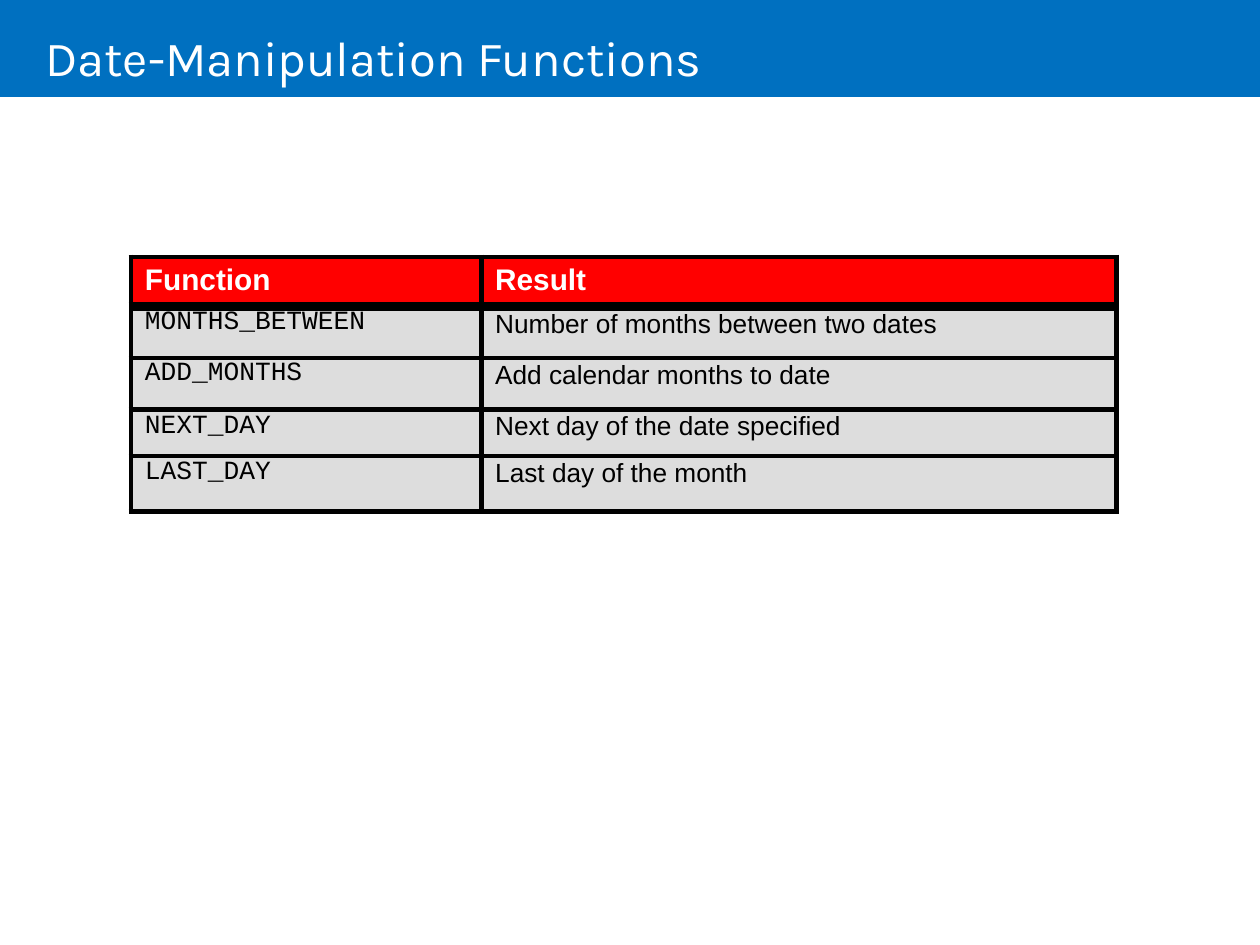
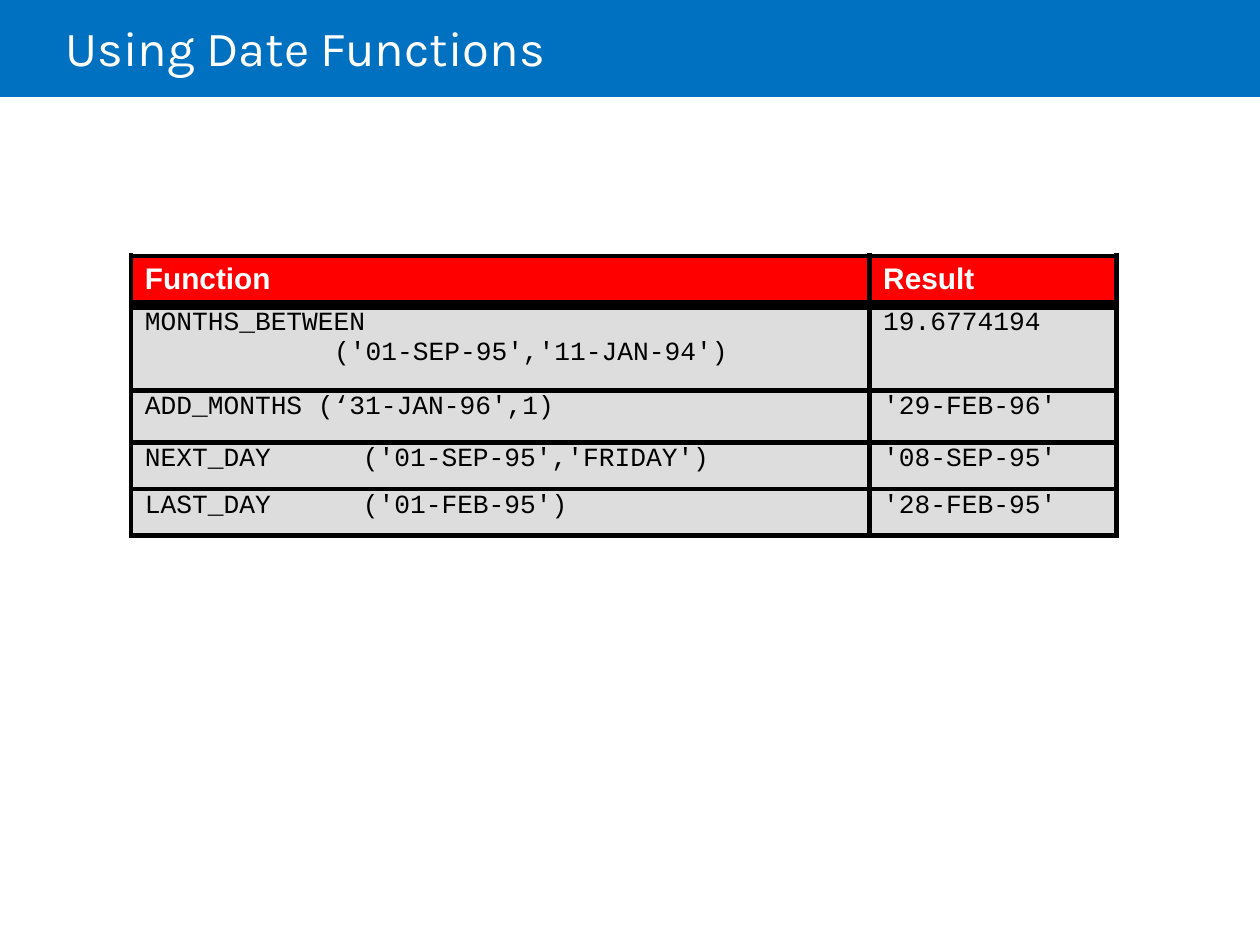
from dataclasses import dataclass

from lxml import etree
from pptx import Presentation
from pptx import util as u
from pptx.dml.color import RGBColor
from pptx.enum import shapes, text
from pptx.oxml import ns

COLORS = {
    "band": "0070C0",
    "title": "FFFFFF",
    "header": "FF0000",
    "header_text": "FFFFFF",
    "row": "DDDDDD",
    "row_text": "000000",
    "border": "000000",
}
TITLE_FONT, PROSE, CODE = "Karla", "Arial", "Courier New"
WIDTH, HEIGHT = u.Inches(10), u.Inches(7.5)
TABLE_LEFT = 10.4
CELL_INDENT = u.Inches(0.11)
CALL_INDENT = u.Inches(0.49)  # second line of a wrapped call
CALL_TAB = u.Inches(1.73)
THIN, THICK = u.Pt(3), u.Pt(6)


@dataclass
class Row:
    height: float  # percent of the slide height
    function: str
    result: str
    function_inset: float = 0.02
    result_inset: float = 0.02


@dataclass
class FunctionSlide:
    title: str
    title_box: tuple[float, float, float]  # left, top, width in percent
    table_top: float
    columns: tuple[float, float]
    result_font: str
    rows: list[Row]


HEADER = Row(5.2, "Function", "Result", 0.05, 0.05)

SLIDES = [
    FunctionSlide(
        "Date-Manipulation Functions", (3.5, 2.8, 92.9), 27.2, (27.8, 50.4), PROSE,
        [
            Row(5.47, "MONTHS_BETWEEN", "Number of months between two dates", 0.01, 0.03),
            Row(5.47, "ADD_MONTHS", "Add calendar months to date", 0.01),
            Row(4.93, "NEXT_DAY", "Next day of the date specified"),
            Row(5.87, "LAST_DAY", "Last day of the month", 0.01),
        ],
    ),
    FunctionSlide(
        "Using Date Functions", (5.1, 1.73, 92.1), 27.07, (58.6, 19.6), CODE,
        [
            Row(9.07, "MONTHS_BETWEEN\n('01-SEP-95','11-JAN-94')", "19.6774194", 0.03, 0.03),
            Row(5.47, "ADD_MONTHS (‘31-JAN-96',1)", "'29-FEB-96'"),
            Row(4.93, "NEXT_DAY\t('01-SEP-95','FRIDAY')", "'08-SEP-95'"),
            Row(4.93, "LAST_DAY\t('01-FEB-95')", "'28-FEB-95'"),
        ],
    ),
]


def across(percent: float) -> int:
    return round(WIDTH * percent / 100)


def down(percent: float) -> int:
    return round(HEIGHT * percent / 100)


def color(name: str) -> RGBColor:
    return RGBColor.from_string(COLORS[name])


def style(paragraph, font: str, size: float, ink: str, bold: bool = False) -> None:
    paragraph.font.name = font
    paragraph.font.size = u.Pt(size)
    paragraph.font.bold = bold
    paragraph.font.color.rgb = color(ink)


def add_band(slide, layout) -> None:
    """Draw the title band and move it behind everything on the layout."""
    band = slide.shapes.add_shape(shapes.MSO_SHAPE.RECTANGLE, 0, 0, WIDTH, down(10.27))
    band.shadow.inherit = False
    band.fill.solid()
    band.fill.fore_color.rgb = color("band")
    band.line.fill.background()
    band.element.nvSpPr.cNvPr.set("id", "20")
    layout.shapes.element.insert(2, band.element)


def set_title(slide, content: FunctionSlide) -> None:
    title = slide.shapes.title
    left, top, width = content.title_box
    title.left, title.top = across(left), down(top)
    title.width, title.height = across(width), down(6.4)
    frame = title.text_frame
    frame.text = content.title
    frame.margin_left = frame.margin_right = frame.margin_bottom = 0
    frame.margin_top = u.Inches(0.01)
    frame.vertical_anchor = text.MSO_ANCHOR.MIDDLE
    frame.auto_size = text.MSO_AUTO_SIZE.SHAPE_TO_FIT_TEXT
    heading = frame.paragraphs[0]
    heading.alignment = text.PP_ALIGN.LEFT
    heading._p.get_or_add_pPr().set("marL", str(u.Inches(0.01)))
    style(heading, TITLE_FONT, 28, "title")


def set_borders(cell, top: int, bottom: int) -> None:
    properties = cell._tc.get_or_add_tcPr()
    sides = {"lnL": THIN, "lnR": THIN, "lnT": top, "lnB": bottom}
    for index, (side, width) in enumerate(sides.items()):
        line = etree.Element(ns.qn(f"a:{side}"), w=str(width))
        fill = etree.SubElement(line, ns.qn("a:solidFill"))
        etree.SubElement(fill, ns.qn("a:srgbClr"), val=COLORS["border"])
        properties.insert(index, line)


def fill_cell(cell, wording: str, inset: float, font: str, row_index: int) -> None:
    is_header = row_index == 0
    cell.text = wording
    cell.margin_left = cell.margin_right = cell.margin_bottom = 0
    cell.margin_top = u.Inches(inset)
    cell.fill.solid()
    cell.fill.fore_color.rgb = color("header" if is_header else "row")
    set_borders(cell, THICK if row_index == 1 else THIN, THICK if is_header else THIN)
    for line_index, line in enumerate(cell.text_frame.paragraphs):
        properties = line._p.get_or_add_pPr()
        properties.set("marL", str(CALL_INDENT if line_index else CELL_INDENT))
        if line_index:
            line.alignment = text.PP_ALIGN.CENTER
            line.space_before = u.Pt(0.2)
        if "\t" in wording:
            tabs = etree.SubElement(properties, ns.qn("a:tabLst"))
            etree.SubElement(tabs, ns.qn("a:tab"), pos=str(CALL_TAB), algn="l")
        if is_header:
            style(line, PROSE, 17, "header_text", bold=True)
        else:
            style(line, font, 15, "row_text")


def add_function_table(slide, content: FunctionSlide) -> None:
    rows = [HEADER, *content.rows]
    table = slide.shapes.add_table(
        len(rows), len(content.columns),
        across(TABLE_LEFT), down(content.table_top),
        across(sum(content.columns)), down(sum(row.height for row in rows)),
    ).table
    table.horz_banding = False
    for column, width in zip(table.columns, content.columns):
        column.width = across(width)
    for index, row in enumerate(rows):
        table.rows[index].height = down(row.height)
        fill_cell(table.cell(index, 0), row.function, row.function_inset, CODE, index)
        fill_cell(table.cell(index, 1), row.result, row.result_inset,
                  content.result_font, index)


def main() -> None:
    deck = Presentation()
    deck.slide_width, deck.slide_height = WIDTH, HEIGHT
    title_only = deck.slide_layouts[5]
    for index, content in enumerate(SLIDES):
        slide = deck.slides.add_slide(title_only)
        if index == 0:
            add_band(slide, title_only)
        set_title(slide, content)
        add_function_table(slide, content)
    deck.save("out.pptx")


if __name__ == "__main__":
    main()
